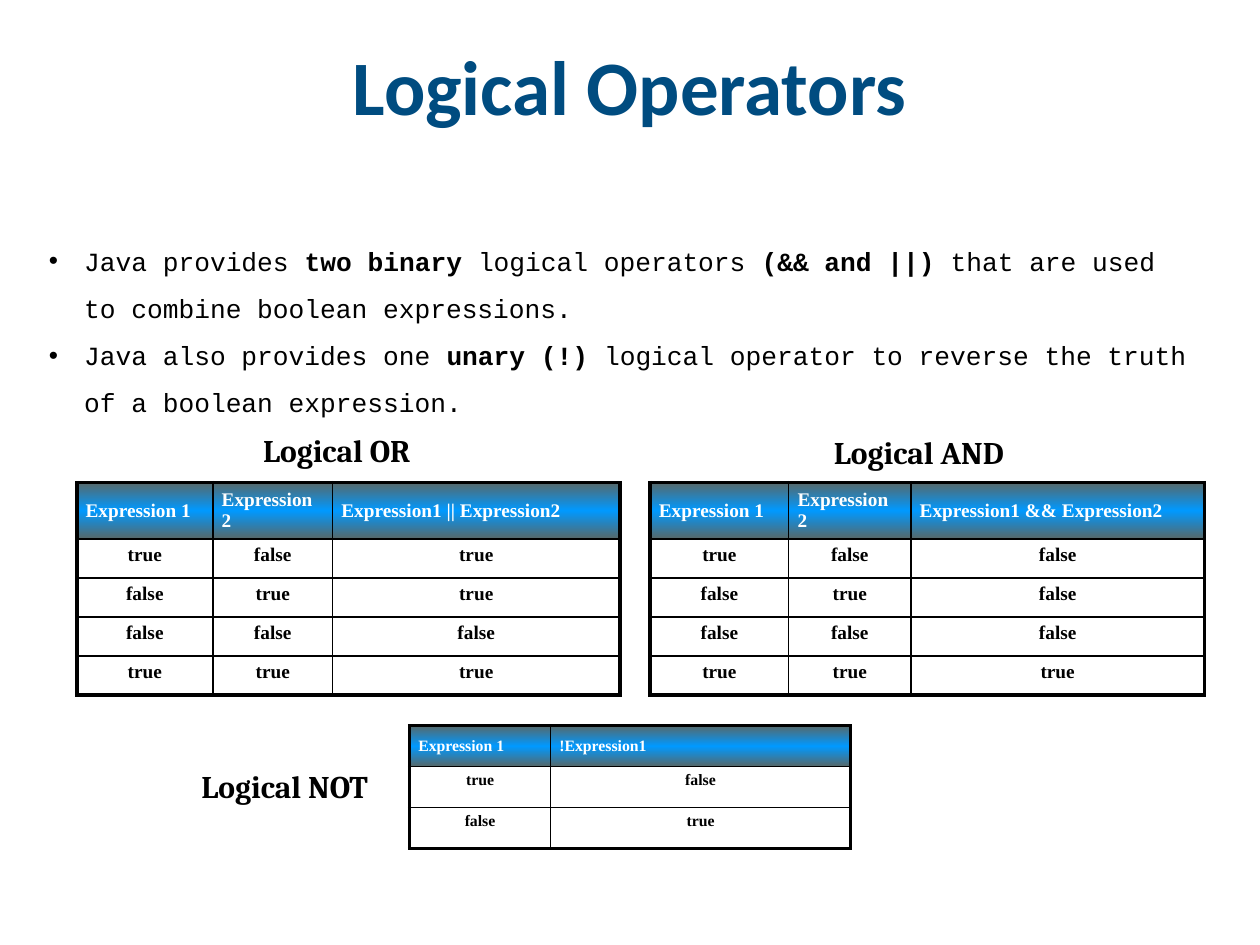
from dataclasses import dataclass

from lxml import etree
from pptx import Presentation
from pptx.dml.color import RGBColor
from pptx.enum.text import MSO_ANCHOR, MSO_AUTO_SIZE, PP_ALIGN
from pptx.oxml.ns import qn
from pptx.util import Emu, Inches, Pt

LEFT, CENTER = PP_ALIGN.LEFT, PP_ALIGN.CENTER
TOP, MIDDLE = MSO_ANCHOR.TOP, MSO_ANCHOR.MIDDLE
FIT_SHAPE = MSO_AUTO_SIZE.SHAPE_TO_FIT_TEXT

# The slide is a grid of 100 columns by 75 rows of square units.
COLUMNS, ROWS = 100, 75
UNIT = Inches(0.1)
BLANK_LAYOUT = 6

BLACK, WHITE, NAVY = "000000", "FFFFFF", "004C80"
HEADER_STOPS = ((0, "576869"), (50, "0099FF"), (100, "576869"))
OUTER_LINE, INNER_LINE = 2.25, 1
BULLET_INDENT = 2.8


@dataclass(frozen=True)
class Box:
    left: float
    top: float
    width: float
    height: float


@dataclass(frozen=True)
class Run:
    text: str
    bold: bool = False


@dataclass(frozen=True)
class TruthTable:
    label: str
    label_box: Box
    left: float
    top: float
    column_widths: tuple[float, ...]
    row_height: float
    font_size: float
    header: tuple[str, ...]
    rows: tuple[str, ...]


BULLETS = (
    (Run("Java provides "), Run("two binary ", True), Run("logical operators "),
     Run("(&& and ||) ", True), Run("that are used to combine boolean expressions.")),
    (Run("Java also provides one "), Run("unary (!) ", True),
     Run("logical operator to reverse the truth of a boolean expression.")),
)

TRUTH_TABLES = (
    TruthTable("Logical AND", Box(65.2, 33.9, 16, 4), 51.6, 38.3, (11, 9.7, 23.3), 3.1, 11,
               ("Expression 1", "Expression 2", "Expression1 && Expression2"),
               ("true false false", "false true false", "false false false", "true true true")),
    TruthTable("Logical OR", Box(19.9, 33.7, 14.4, 4), 6.1, 38.3, (10.8, 9.5, 22.8), 3.1, 11,
               ("Expression 1", "Expression 2", "Expression1 || Expression2"),
               ("true false true", "false true true", "false false false", "true true true")),
    TruthTable("Logical NOT", Box(15, 60.4, 16.1, 4), 32.5, 57.6, (11.2, 23.8), 3.25, 9,
               ("Expression 1", "!Expression1"),
               ("true false", "false true")),
)


def units(count: float) -> Emu:
    return Emu(round(count * UNIT))


def color(hex_value: str) -> RGBColor:
    return RGBColor.from_string(hex_value)


def write_text(paragraph, runs, *, font, size, hex_color=BLACK, align=LEFT, spacing=None):
    paragraph.alignment = align
    if spacing is not None:
        paragraph.line_spacing = spacing
    for item in runs:
        run = paragraph.add_run()
        run.text = item.text
        run.font.name = font
        run.font.size = Pt(size)
        run.font.bold = item.bold
        run.font.color.rgb = color(hex_color)


def add_text_box(slide, box: Box, *, wrap=True, anchor=TOP, fit=False):
    shape = slide.shapes.add_textbox(*map(units, (box.left, box.top, box.width, box.height)))
    frame = shape.text_frame
    frame.word_wrap = wrap
    frame.vertical_anchor = anchor
    if fit:
        frame.auto_size = FIT_SHAPE
    return frame


def add_bullet(paragraph) -> None:
    properties = paragraph._p.get_or_add_pPr()
    properties.set("marL", str(units(BULLET_INDENT)))
    properties.set("indent", str(-units(BULLET_INDENT)))
    etree.SubElement(properties, qn("a:buFont"), typeface="Arial")
    etree.SubElement(properties, qn("a:buChar"), char="•")


def add_color(parent, hex_value: str) -> None:
    etree.SubElement(parent, qn("a:srgbClr"), val=hex_value)


def set_borders(cell, outer_sides: dict[str, bool]) -> None:
    """Draw each side thick where it lies on the edge of the table, thin elsewhere."""
    properties = cell._tc.get_or_add_tcPr()
    for side, is_outer in outer_sides.items():
        width = Pt(OUTER_LINE if is_outer else INNER_LINE)
        line = etree.SubElement(properties, qn(f"a:ln{side}"), w=str(width))
        add_color(etree.SubElement(line, qn("a:solidFill")), BLACK)


def fill_header(cell) -> None:
    """Shade the cell from top to bottom through three colour stops."""
    gradient = etree.SubElement(cell._tc.get_or_add_tcPr(), qn("a:gradFill"))
    stops = etree.SubElement(gradient, qn("a:gsLst"))
    for percent, hex_value in HEADER_STOPS:
        add_color(etree.SubElement(stops, qn("a:gs"), pos=str(percent * 1000)), hex_value)
    etree.SubElement(gradient, qn("a:lin"), ang=str(90 * 60000), scaled="1")


def add_truth_table(slide, spec: TruthTable) -> None:
    contents = [spec.header, *(row.split() for row in spec.rows)]
    last_row, last_column = len(contents) - 1, len(spec.column_widths) - 1
    table = slide.shapes.add_table(
        len(contents), len(spec.column_widths), units(spec.left), units(spec.top),
        units(sum(spec.column_widths)), units(spec.row_height * len(contents))).table
    table.first_row = table.horz_banding = False
    for column, width in zip(table.columns, spec.column_widths):
        column.width = units(width)

    for i, texts in enumerate(contents):
        table.rows[i].height = units(spec.row_height)
        is_header = i == 0
        for j, text in enumerate(texts):
            cell = table.cell(i, j)
            cell.margin_left = cell.margin_right = units(0.7)
            cell.margin_top = cell.margin_bottom = units(0.4)
            cell.vertical_anchor = MIDDLE if is_header else TOP
            set_borders(cell, {"L": j == 0, "R": j == last_column,
                               "T": is_header, "B": i == last_row})
            if is_header:
                fill_header(cell)
            else:
                cell.fill.background()
            write_text(cell.text_frame.paragraphs[0], [Run(text, True)],
                       font="Times New Roman", size=spec.font_size,
                       hex_color=WHITE if is_header else BLACK,
                       align=LEFT if is_header else CENTER)


def add_label(slide, spec: TruthTable) -> None:
    frame = add_text_box(slide, spec.label_box, wrap=False, fit=True)
    write_text(frame.paragraphs[0], [Run(spec.label, True)], font="Cambria", size=18)


def main() -> None:
    presentation = Presentation()
    presentation.slide_width, presentation.slide_height = units(COLUMNS), units(ROWS)
    slide = presentation.slides.add_slide(presentation.slide_layouts[BLANK_LAYOUT])

    title = add_text_box(slide, Box(5, 1.7, 90, 10), anchor=MIDDLE)
    write_text(title.paragraphs[0], [Run("Logical Operators", True)],
               font="Calibri", size=44, hex_color=NAVY, align=CENTER)

    body = add_text_box(slide, Box(2.9, 17.7, 92.6, 16.2), fit=True)
    for index, runs in enumerate(BULLETS):
        paragraph = body.add_paragraph() if index else body.paragraphs[0]
        write_text(paragraph, runs, font="Courier New", size=15, spacing=1.5)
        add_bullet(paragraph)

    for spec in TRUTH_TABLES:
        add_truth_table(slide, spec)
        add_label(slide, spec)

    presentation.save("out.pptx")


if __name__ == "__main__":
    main()
